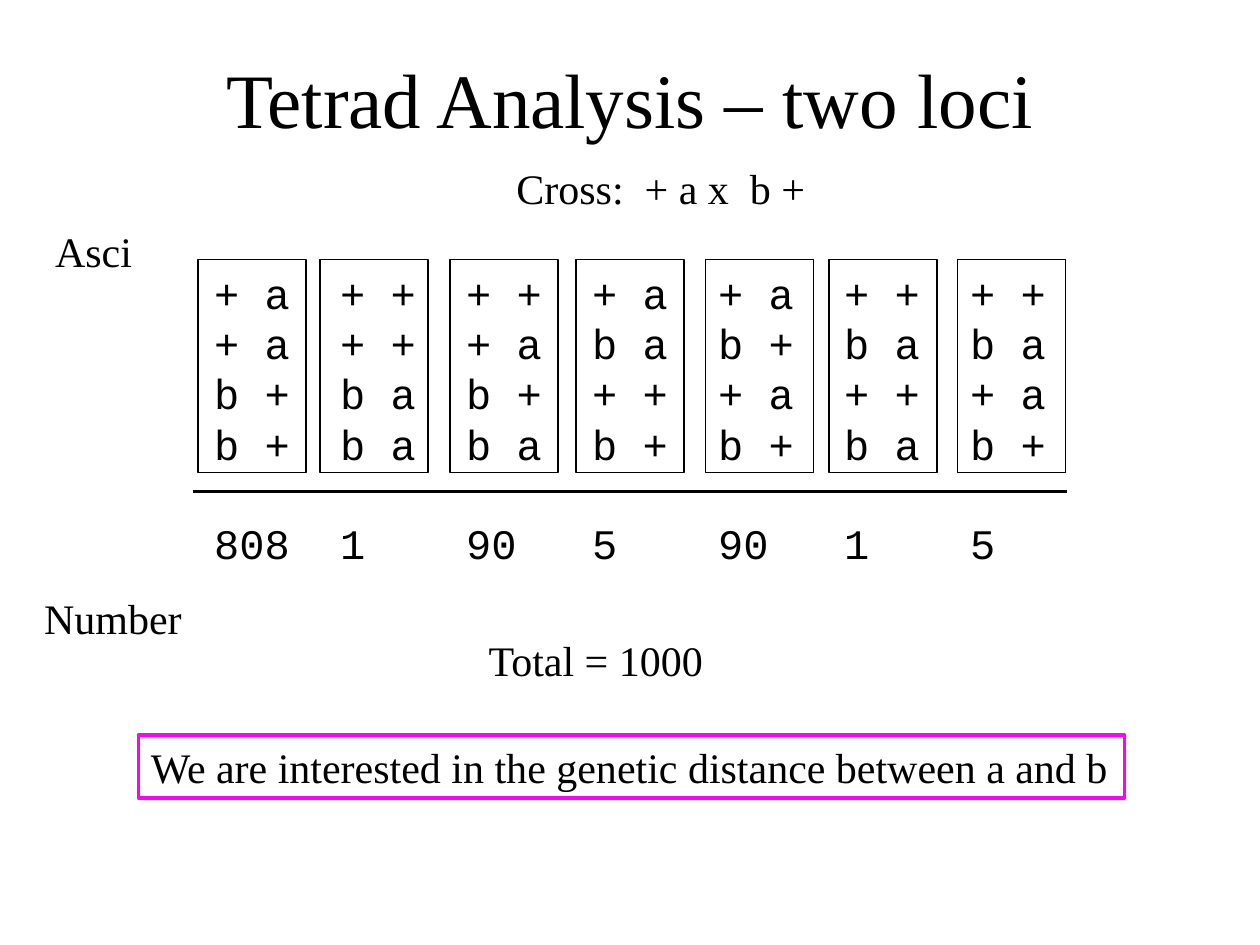
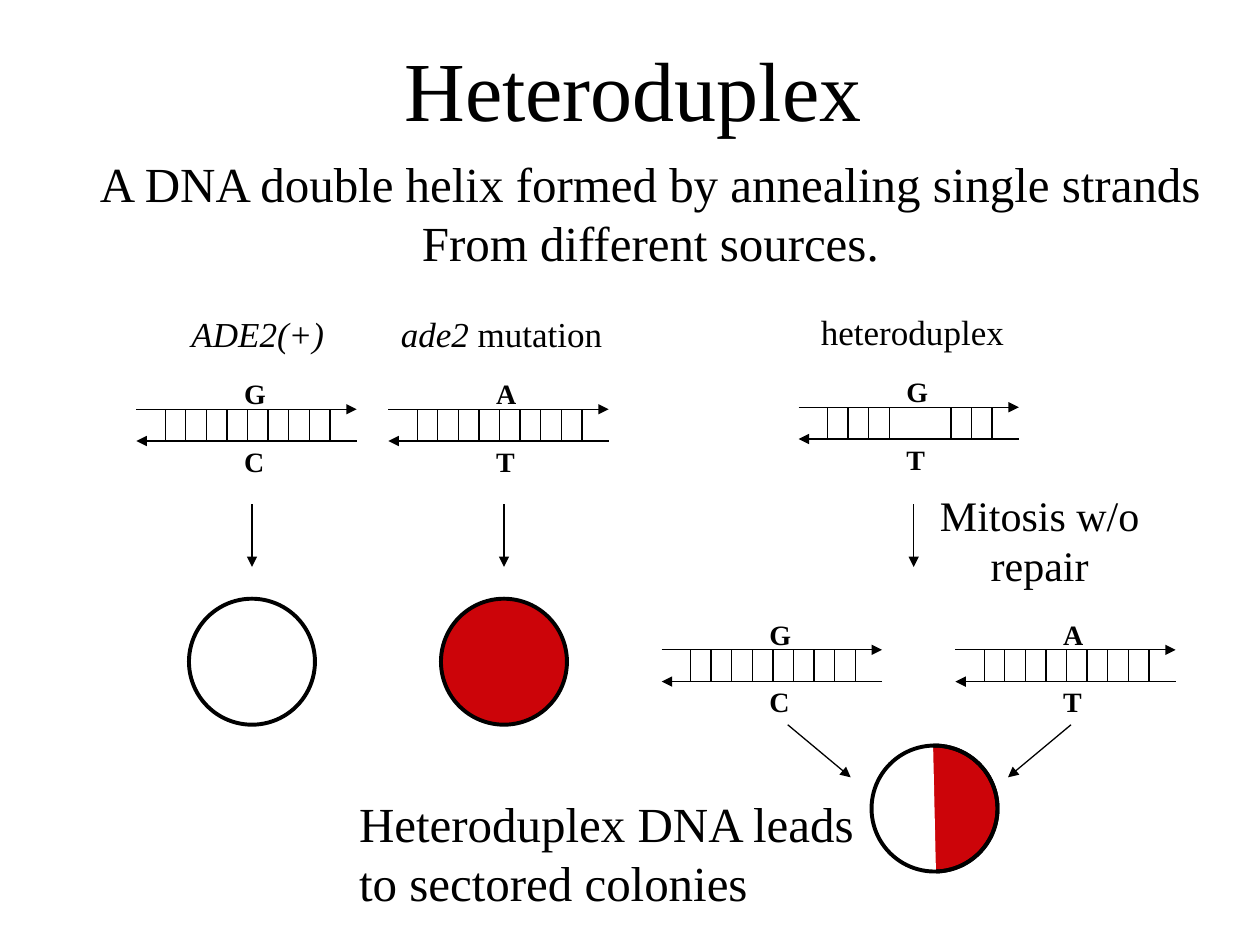
import pptx
import pptx.util
import pptx.dml.color
import pptx.enum.shapes
import pptx.enum.text
import pptx.oxml.ns
from lxml import etree

Cm, Pt = pptx.util.Cm, pptx.util.Pt
SHAPES = pptx.enum.shapes.MSO_SHAPE
ALIGN = pptx.enum.text.PP_ALIGN
qn = pptx.oxml.ns.qn

COLORS = {"ink": "000000", "paper": "FFFFFF", "frame": "FF00FF", "red": "CC0409"}
SERIF, MONO = "Times New Roman", "Courier New"
TITLE_ONLY = 5
TAB_STEP = 2.54

# One ascus per entry: its four spores, then how often it was counted
ASCI = [
    ("+ a", "+ a", "b +", "b +", "808"),
    ("+ +", "+ +", "b a", "b a", "1"),
    ("+ +", "+ a", "b +", "b a", "90"),
    ("+ a", "b a", "+ +", "b +", "5"),
    ("+ a", "b +", "+ a", "b +", "90"),
    ("+ +", "b a", "+ +", "b a", "1"),
    ("+ +", "b a", "+ a", "b +", "5"),
]
ASCUS_LEFTS = [3.99, 6.45, 9.07, 11.61, 14.22, 16.71, 19.3]

# Left, top, upper base, lower base, positions without a rung
DUPLEXES = [
    (2.75, 8.25, "G", "C", ()),
    (7.83, 8.25, "A", "T", ()),
    (16.1, 8.21, "G", "T", (4, 5)),
    (19.26, 13.1, "A", "T", ()),
    (13.34, 13.1, "G", "C", ()),
]
DUPLEX_WIDTH, DUPLEX_HEIGHT = 4.44, 0.64
RUNG_COUNT, RUNG_START, RUNG_SPAN = 9, 0.58, 3.32
RUNG_STEP = RUNG_SPAN / (RUNG_COUNT - 1)


def color(name):
    return pptx.dml.color.RGBColor.from_string(COLORS[name])


def add_span(para, text, size, font=SERIF, bold=False, italic=False):
    span = para.add_run()
    span.text = text
    span.font.name = font
    span.font.size = Pt(size)
    span.font.bold = bold
    span.font.italic = italic
    span.font.color.rgb = color("ink")


def add_title(page, text, size, left, top, width, height):
    title = page.shapes.title
    title.left, title.top = Cm(left), Cm(top)
    title.width, title.height = Cm(width), Cm(height)
    frame = title.text_frame
    frame.vertical_anchor = pptx.enum.text.MSO_ANCHOR.MIDDLE
    frame.paragraphs[0].alignment = ALIGN.CENTER
    add_span(frame.paragraphs[0], text, size)


def add_text(page, left, top, width, height, lines, size, align=ALIGN.LEFT, **style):
    """Add a text box with one paragraph for each line."""
    box = page.shapes.add_textbox(Cm(left), Cm(top), Cm(width), Cm(height))
    frame = box.text_frame
    frame.word_wrap = True
    for index, line in enumerate(lines):
        para = frame.paragraphs[0] if index == 0 else frame.add_paragraph()
        para.alignment = align
        add_span(para, line, size, **style)
    return box


def add_tabs(para, count):
    tabs = etree.SubElement(para._p.get_or_add_pPr(), qn("a:tabLst"))
    for number in range(1, count + 1):
        etree.SubElement(tabs, qn("a:tab"), pos=str(Cm(TAB_STEP * number)), algn="l")


def add_line(page, start, end, width=0.75, arrow=False):
    line = page.shapes.add_connector(
        pptx.enum.shapes.MSO_CONNECTOR.STRAIGHT, *map(Cm, start + end))
    line.line.color.rgb = color("ink")
    line.line.width = Pt(width)
    if arrow:
        etree.SubElement(line.line._get_or_add_ln(), qn("a:tailEnd"), type="triangle")
    etree.SubElement(line._element.spPr, qn("a:effectLst"))


def add_outline(page, kind, left, top, width, height, fill=None, line="ink", weight=0.75):
    shape = page.shapes.add_shape(kind, Cm(left), Cm(top), Cm(width), Cm(height))
    shape.shadow.inherit = False
    if fill:
        shape.fill.solid()
        shape.fill.fore_color.rgb = color(fill)
    else:
        shape.fill.background()
    shape.line.color.rgb = color(line)
    shape.line.width = Pt(weight)
    return shape


def add_colony(page, left, top, fill=None):
    add_outline(page, SHAPES.OVAL, left, top, 2.54, 2.54, fill, weight=2.25)


def add_duplex(page, left, top, upper, lower, gaps):
    """Add two antiparallel strands, their rungs and the base pair."""
    right, bottom = left + DUPLEX_WIDTH, top + DUPLEX_HEIGHT
    add_line(page, (left, top), (right, top), arrow=True)
    add_line(page, (right, bottom), (left, bottom), arrow=True)
    for index in range(RUNG_COUNT):
        if index not in gaps:
            x = left + RUNG_START + RUNG_STEP * index
            add_line(page, (x, top), (x, bottom))
    bases = add_text(page, left + 1.92, top - 0.78, 1.1, 2.29, [upper, lower], 16, bold=True)
    bases.text_frame.paragraphs[1].space_before = Pt(19.4)


def build_tetrads(deck):
    page = deck.slides.add_slide(deck.slide_layouts[TITLE_ONLY])
    add_title(page, "Tetrad Analysis – two loci", 44, 1.9, 0.38, 21.6, 3.18)

    # Labels
    for left, top, width, label in [
        (10.16, 3.15, 7.2, "Cross:  + a x  b +"),
        (0.86, 4.42, 2.4, "Asci"),
        (0.64, 11.81, 3.6, "Number"),
        (9.6, 12.67, 5.2, "Total = 1000"),
    ]:
        add_text(page, left, top, width, 1.27, [label], 24)

    # Spores and counts, column by column
    rows = ["\t".join(row) for row in zip(*ASCI)]
    grid = add_text(page, 4.07, 5.26, 17.8, 6.35, rows, 24, font=MONO)
    for para in grid.text_frame.paragraphs:
        add_tabs(para, len(ASCI))
    grid.text_frame.paragraphs[-1].space_before = Pt(27.8)
    for left in ASCUS_LEFTS:
        add_outline(page, SHAPES.RECTANGLE, left, 5.23, 2.18, 4.29)
    add_line(page, (3.89, 9.91), (21.51, 9.91), width=2)

    # Framed message
    message = add_text(page, 2.79, 14.82, 19.88, 1.27,
                       ["We are interested in the genetic distance between a and b"], 24)
    message.line.color.rgb = color("frame")
    message.line.width = Pt(2)


def build_heteroduplex(deck):
    page = deck.slides.add_slide(deck.slide_layouts[TITLE_ONLY])
    add_title(page, "Heteroduplex", 48, 7.9, 0.62, 9.73, 2.29)
    add_text(page, 1.5, 2.97, 23.22, 2.64,
             ["A DNA double helix formed by annealing single strands",
              "From different sources."], 28, ALIGN.CENTER)

    # Strand labels
    add_text(page, 3.61, 6.18, 3.5, 1.12, ["ADE2(+)"], 20, italic=True)
    mutant = add_text(page, 7.83, 6.18, 5, 1.12, ["ade2 "], 20, italic=True)
    add_span(mutant.text_frame.paragraphs[0], "mutation", 20)
    add_text(page, 16.3, 6.14, 4.6, 1.12, ["heteroduplex"], 20)

    for duplex in DUPLEXES:
        add_duplex(page, *duplex)

    # Arrows down to the outcomes
    for x in (5.08, 10.16, 18.42):
        add_line(page, (x, 10.16), (x, 11.43), arrow=True)
    add_text(page, 18.42, 9.74, 5.08, 2.29, ["Mitosis w/o repair"], 24, ALIGN.CENTER)

    # Uniform colonies
    add_colony(page, 3.81, 12.07)
    add_colony(page, 8.89, 12.07, "red")

    # Sectored colony: the left half is covered in white
    add_colony(page, 17.57, 15.03, "red")
    cover = add_outline(page, SHAPES.RECTANGLE, 17.13, 14.59, 1.7, 3.61, "paper", "paper")
    cover.rotation = -1.3
    add_colony(page, 17.57, 15.03)
    add_line(page, (15.88, 14.61), (17.15, 15.67), arrow=True)
    add_line(page, (21.59, 14.61), (20.32, 15.67), arrow=True)
    add_text(page, 6.99, 15.88, 11.43, 2.64,
             ["Heteroduplex DNA leads to sectored colonies"], 28)


def main():
    deck = pptx.Presentation()
    deck.slide_width, deck.slide_height = Cm(25.4), Cm(19.05)
    build_tetrads(deck)
    build_heteroduplex(deck)
    deck.save("out.pptx")


if __name__ == "__main__":
    main()
